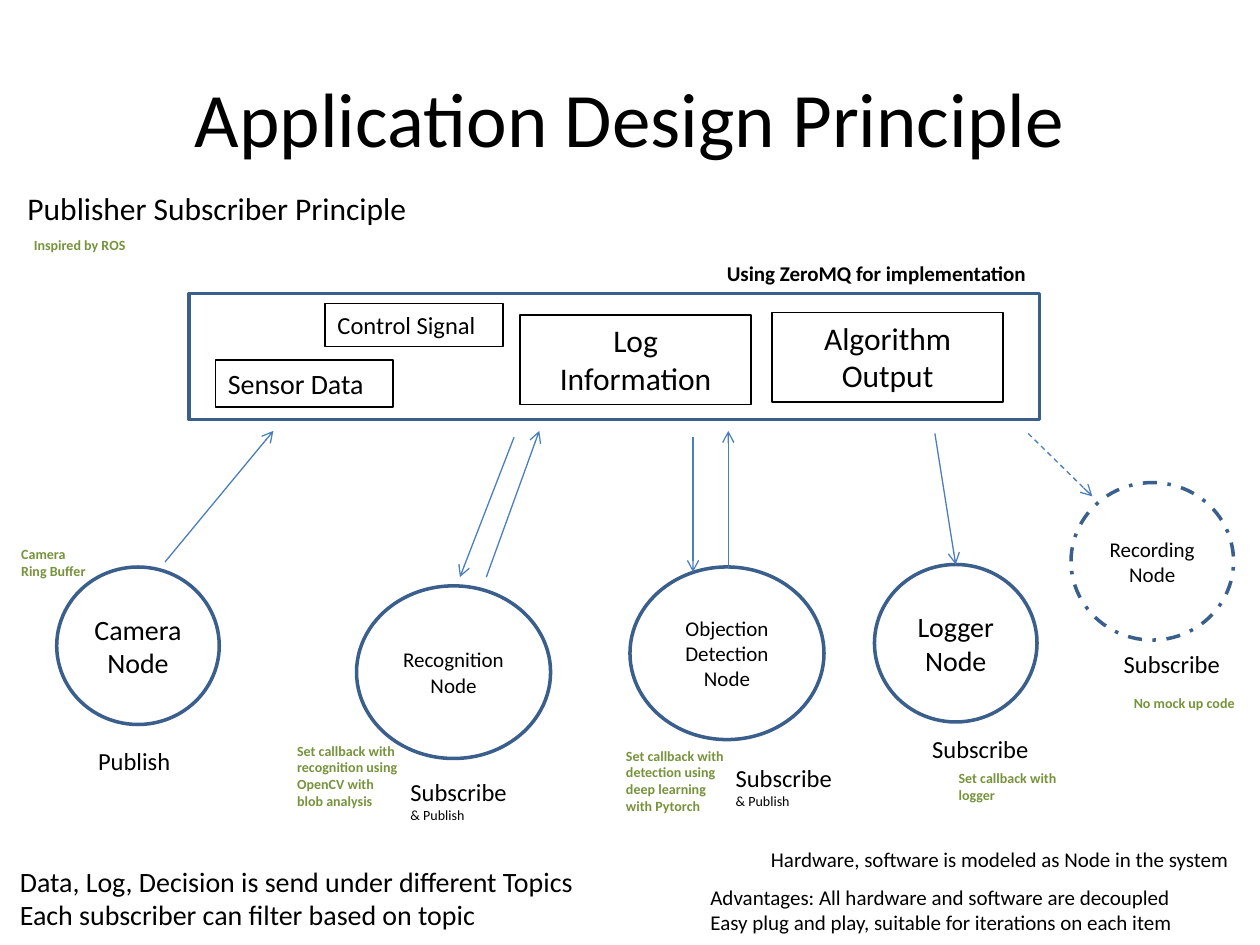
from pptx import Presentation
from pptx.dml.color import RGBColor
from pptx.enum.dml import MSO_LINE
from pptx.enum.shapes import MSO_CONNECTOR, MSO_SHAPE
from pptx.enum.text import MSO_ANCHOR, MSO_AUTO_SIZE, PP_ALIGN
from pptx.oxml.ns import qn
from pptx.util import Inches, Pt
from lxml import etree

RECT, OVAL = MSO_SHAPE.RECTANGLE, MSO_SHAPE.OVAL
STRAIGHT = MSO_CONNECTOR.STRAIGHT
LEFT, CENTER = PP_ALIGN.LEFT, PP_ALIGN.CENTER
TOP, MIDDLE = MSO_ANCHOR.TOP, MSO_ANCHOR.MIDDLE
GROW, FIXED = MSO_AUTO_SIZE.SHAPE_TO_FIT_TEXT, MSO_AUTO_SIZE.NONE
DASH, DASH_DOT = MSO_LINE.DASH, MSO_LINE.DASH_DOT

BLACK, BLUE, ARROW_BLUE, GREEN = "000000", "3A5F8C", "4B7EBC", "77933C"


def color(value):
    return RGBColor.from_string(value)


class SlideBuilder:
    font = "Calibri"

    def __init__(self, slide):
        self.s = slide

    def title(self, text, box, size):
        sp = self.s.shapes.title
        sp.left, sp.top, sp.width, sp.height = map(Inches, box)
        self.set_lines(sp.text_frame, [(text, size)], align=CENTER, anchor=MIDDLE)

    def set_lines(self, tf, lines, ink=BLACK, bold=False, align=LEFT,
                  anchor=TOP, wrap=True, fit=FIXED):
        """Fill a text frame; each line is a (text, size) pair."""
        frame = {"word_wrap": wrap, "auto_size": fit, "vertical_anchor": anchor}
        for name, value in frame.items():
            setattr(tf, name, value)
        for i, (text, size) in enumerate(lines):
            p = tf.paragraphs[0] if i == 0 else tf.add_paragraph()
            p.alignment = align
            r = p.add_run()
            r.text = text
            style = {"name": self.font, "size": Pt(size), "bold": bold}
            for name, value in style.items():
                setattr(r.font, name, value)
            r.font.color.rgb = color(ink)

    def text(self, box, lines, wrap=False, **style):
        sp = self.s.shapes.add_textbox(*map(Inches, box))
        self.set_lines(sp.text_frame, lines, wrap=wrap, fit=GROW, **style)

    def note(self, left, top, height, *lines):
        self.text((left, top, 1.03, height), [(line, 8) for line in lines],
                  wrap=True, ink=GREEN, bold=True)

    def outline(self, kind, box, line, width, dash=None):
        sp = self.s.shapes.add_shape(kind, *map(Inches, box))
        sp.shadow.inherit = False
        sp.fill.background()
        sp.line.color.rgb = color(line)
        sp.line.width = Pt(width)
        if dash:
            sp.line.dash_style = dash
        return sp

    def topic(self, box, size, *lines, align=CENTER):
        sp = self.outline(RECT, box, BLACK, 1)
        self.set_lines(sp.text_frame, [(line, size) for line in lines],
                       align=align, fit=GROW)

    def node(self, box, size, name, dash=None):
        sp = self.outline(OVAL, box, BLUE, 2, dash)
        self.set_lines(sp.text_frame, [(name, size), ("Node", size)],
                       align=CENTER, anchor=MIDDLE)
        return sp

    def arrow(self, start, end, dash=None):
        c = self.s.shapes.add_connector(STRAIGHT, *map(Inches, start + end))
        c.line.color.rgb = color(ARROW_BLUE)
        c.line.width = Pt(0.75)
        if dash:
            c.line.dash_style = dash
        spPr = c._element.spPr
        etree.SubElement(spPr.find(qn("a:ln")), qn("a:tailEnd"), type="arrow")
        etree.SubElement(spPr, qn("a:effectLst"))
        return c


def main():
    prs = Presentation()
    prs.slide_width, prs.slide_height = Inches(10), Inches(7.5)
    b = SlideBuilder(prs.slides.add_slide(prs.slide_layouts[5]))

    # Headings
    b.title("Application Design Principle", (0.5, 0.3, 9, 1.25), 44)
    b.text((0.12, 1.45, 3.24, 0.4), [("Publisher Subscriber Principle", 18)])
    b.text((5.67, 2.02, 3, 0.3), [("Using ZeroMQ for implementation", 12)],
           wrap=True, bold=True)

    # Message bus with its topics
    b.outline(RECT, (1.5, 2.33, 6.75, 1), BLUE, 2)
    b.topic((1.71, 2.86, 1.41, 0.37), 16, "Sensor Data", align=LEFT)
    b.topic((2.58, 2.41, 1.41, 0.34), 14, "Control Signal", align=LEFT)
    b.topic((4.13, 2.5, 1.83, 0.71), 18, "Log", "Information")
    b.topic((6.13, 2.48, 1.83, 0.71), 18, "Algorithm", "Output")

    # Nodes
    b.node((0.45, 4.5, 1.29, 1.25), 16, "Camera")
    b.node((2.83, 4.65, 1.54, 1.37), 12, "Recognition")
    b.node((5, 4.5, 1.54, 1.37), 12, "Objection Detection")
    logger = b.node((6.94, 4.48, 1.29, 1.25), 16, "Logger")
    b.node((8.5, 3.83, 1.29, 1.25), 12, "Recording", DASH_DOT)

    # Arrows between the bus and the nodes
    for start, end in [
        ((1.31, 4.46), (2.17, 3.42)),
        ((3.86, 4.58), (4.28, 3.42)),
        ((4.08, 3.47), (3.65, 4.58)),
        ((5.5, 3.47), (5.5, 4.54)),
        ((5.78, 4.52), (5.78, 3.42)),
    ]:
        b.arrow(start, end)
    b.arrow((7.42, 3.44), (7.59, 4.48)).end_connect(logger, 0)
    b.arrow((8.16, 3.44), (8.67, 3.94), DASH)

    # Role of each node
    b.text((0.68, 5.87, 0.78, 0.34), [("Publish", 14)])
    for left, top in [(7.3, 5.78), (8.82, 5.1)]:
        b.text((left, top, 0.97, 0.34), [("Subscribe", 14)])
    for left, top in [(3.16, 6.12), (5.74, 6.01)]:
        b.text((left, top, 0.97, 0.47), [("Subscribe", 14), ("& Publish", 8)])

    # Green notes
    b.note(0.17, 1.83, 0.24, "Inspired by ROS")
    b.note(0.07, 4.28, 0.37, "Camera", "Ring Buffer")
    b.note(2.26, 5.84, 0.64,
           "Set callback with recognition using OpenCV with blob analysis")
    b.note(4.87, 5.88, 0.64,
           "Set callback with detection using deep learning with Pytorch")
    b.note(7.51, 6.06, 0.37, "Set callback with logger")
    b.note(8.9, 5.46, 0.24, "No mock up code")

    # Summary
    b.text((0.06, 6.81, 4.65, 0.64),
           [("Data, Log, Decision is send under different Topics", 16),
            ("Each subscriber can filter based on topic", 16)])
    b.text((6.02, 6.67, 3.88, 0.3),
           [("Hardware, software is modeled as Node in the system", 12)])
    b.text((5.54, 6.97, 3.87, 0.5),
           [("Advantages: All hardware and software are decoupled", 12),
            ("Easy plug and play, suitable for iterations on each item", 12)])

    prs.save("out.pptx")


if __name__ == "__main__":
    main()
